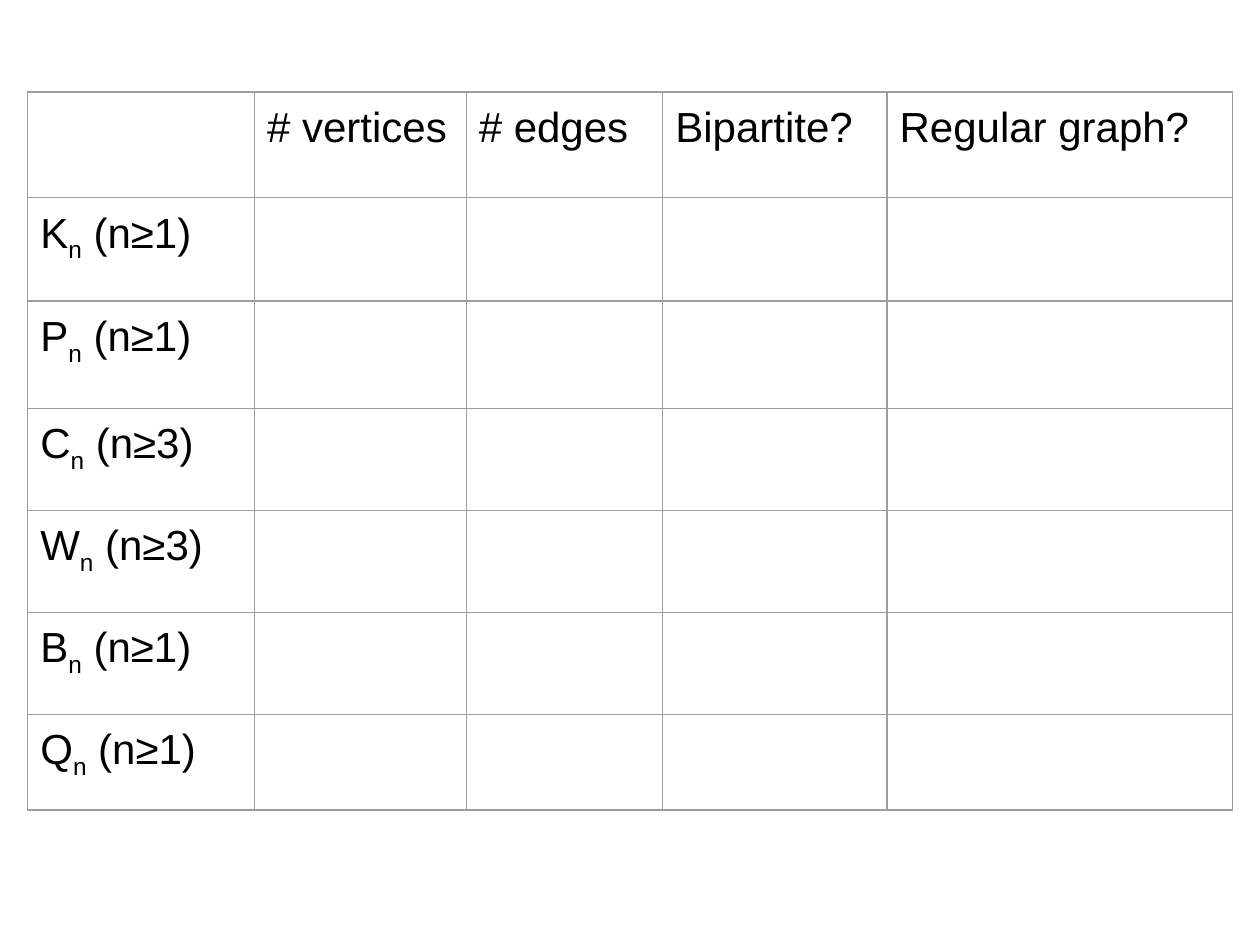
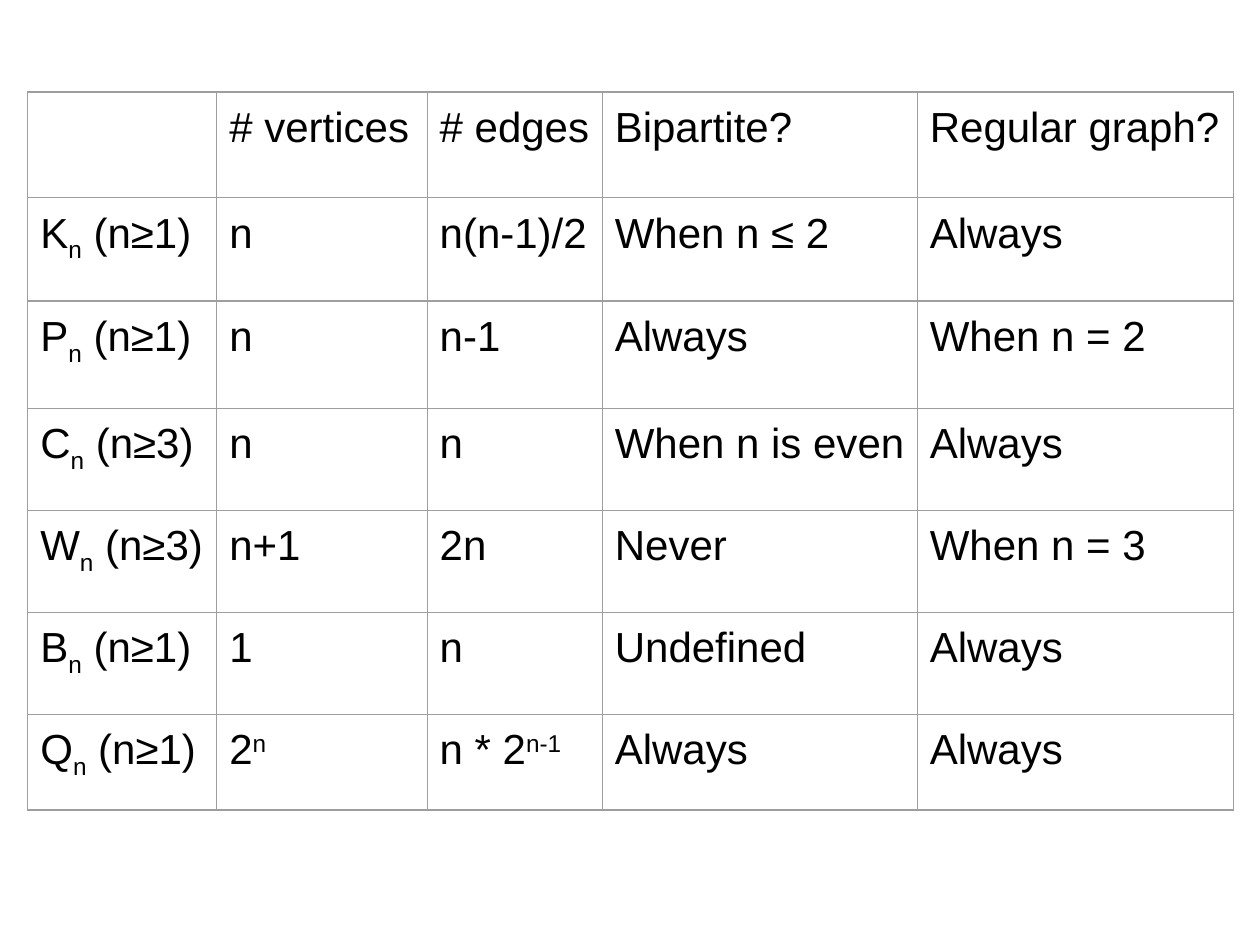
"""Build two slides with tables of graph families and their properties."""
from lxml import etree
from pptx import Presentation
from pptx.dml.color import RGBColor
from pptx.oxml.ns import qn
from pptx.util import Inches, Pt

FONT, TEXT, BORDER = "Arial", "000000", "9E9E9E"
SUBSCRIPT, SUPERSCRIPT = "-25000", "30000"
BLANK_LAYOUT = 6
LEFT, TOP, MARGIN = 0.22, 0.73, 0.1
ROW_HEIGHTS = [0.84, 0.82, 0.85, 0.81, 0.81, 0.81, 0.76]

HEADER = ["", "# vertices", "# edges", "Bipartite?", "Regular graph?"]
FAMILIES = ["K|n| (n≥1)", "P|n| (n≥1)", "C|n| (n≥3)",
            "W|n| (n≥3)", "B|n| (n≥1)", "Q|n| (n≥1)"]
ANSWERS = [
    ["n", "n(n-1)/2", "When n ≤ 2", "Always"],
    ["n", "n-1", "Always", "When n = 2"],
    ["n", "n", "When n is even", "Always"],
    ["n+1", "2n", "Never", "When n = 3"],
    ["1", "n", "Undefined", "Always"],
    ["2|n", "n * 2|n-1", "Always", "Always"],
]
BLANKS = [[""] * 4 for _ in FAMILIES]
SLIDES = [
    ([1.8, 1.68, 1.56, 1.78, 2.74], BLANKS),
    ([1.5, 1.67, 1.39, 2.5, 2.51], ANSWERS),
]


def rgb(color):
    return RGBColor.from_string(color)


def set_borders(cell):
    tc_pr = cell._tc.get_or_add_tcPr()
    for side in ("lnL", "lnR", "lnT", "lnB"):
        ln = etree.SubElement(tc_pr, qn(f"a:{side}"), w=str(Pt(0.75)))
        fill = etree.SubElement(ln, qn("a:solidFill"))
        etree.SubElement(fill, qn("a:srgbClr"), val=BORDER)


def fill_cell(cell, text, baseline):
    """Style a cell and write its text, shifting every second part between bars."""
    cell.margin_left = cell.margin_right = Inches(MARGIN)
    cell.margin_top = cell.margin_bottom = Inches(MARGIN)
    set_borders(cell)
    cell.fill.background()
    p = cell.text_frame.paragraphs[0]
    p.font.name, p.font.size = FONT, Pt(24)
    p.font.color.rgb = rgb(TEXT)
    if not text:
        return
    for i, part in enumerate(text.split("|")):
        r = p.add_run()
        r.text = part
        if i % 2:
            r._r.get_or_add_rPr().set("baseline", baseline)


def add_graph_table(prs, widths, answers):
    slide = prs.slides.add_slide(prs.slide_layouts[BLANK_LAYOUT])
    rows = [HEADER] + [[name, *row] for name, row in zip(FAMILIES, answers)]
    table = slide.shapes.add_table(
        len(rows), len(widths), Inches(LEFT), Inches(TOP),
        Inches(sum(widths)), Inches(sum(ROW_HEIGHTS))).table
    table.first_row = table.horz_banding = False
    for column, width in zip(table.columns, widths):
        column.width = Inches(width)
    for row, height in zip(table.rows, ROW_HEIGHTS):
        row.height = Inches(height)
    for i, row in enumerate(rows):
        for j, text in enumerate(row):
            fill_cell(table.cell(i, j), text, SUPERSCRIPT if j else SUBSCRIPT)


def main():
    prs = Presentation()
    prs.slide_width, prs.slide_height = Inches(10), Inches(7.5)
    for widths, answers in SLIDES:
        add_graph_table(prs, widths, answers)
    prs.save("out.pptx")


if __name__ == "__main__":
    main()
